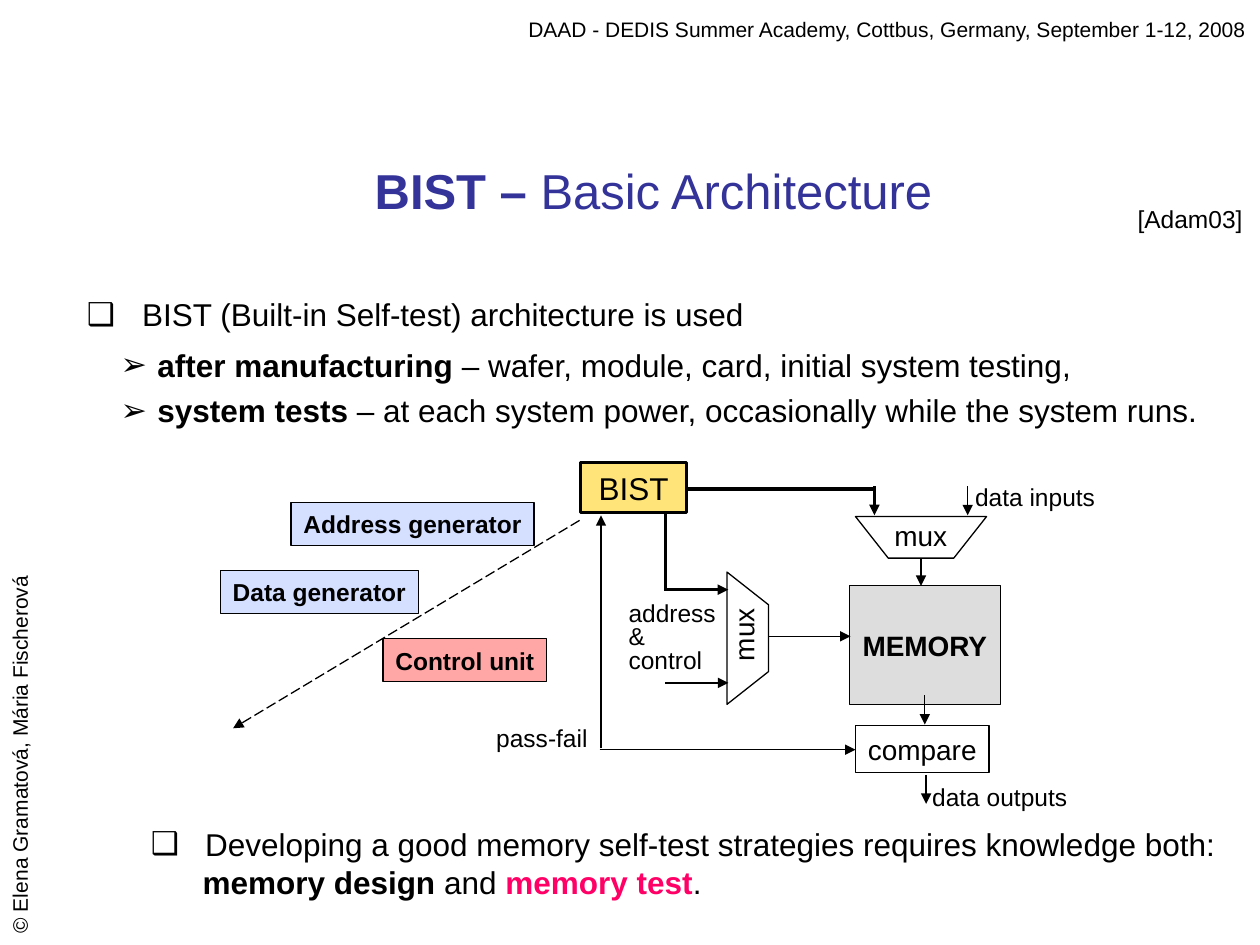
from dataclasses import dataclass
from typing import Optional

from lxml import etree
from pptx import Presentation
from pptx.dml.color import RGBColor
from pptx.enum import dml, shapes, text
from pptx.oxml.ns import qn
from pptx.util import Inches, Pt

BLACK = RGBColor(0, 0, 0)
NAVY = RGBColor(0x33, 0x33, 0x99)
PINK = RGBColor(0xFF, 0x00, 0x66)
YELLOW = RGBColor(0xFF, 0xE5, 0x79)
GREY = RGBColor(0xDD, 0xDD, 0xDD)
BLUE = RGBColor(0xD5, 0xDF, 0xFF)
RED = RGBColor(0xFF, 0xA7, 0xA7)
LEFT, CENTER, RIGHT = text.PP_ALIGN.LEFT, text.PP_ALIGN.CENTER, text.PP_ALIGN.RIGHT
THIN, MEDIUM, THICK = 0.75, 1.5, 2


@dataclass
class Span:
    words: str
    bold: bool = False
    color: RGBColor = BLACK


@dataclass
class Item:
    spans: list[Span]
    bullet: str = ""
    margin: float = 0
    indent: float = 0
    before: float = 0
    spacing: float = 1


@dataclass
class Label:
    words: str
    at: tuple[float, float, float, float]
    size: float = 14
    wrap: bool = False
    rotation: float = 0
    align: int = LEFT
    spacing: float = 1


@dataclass
class Block:
    words: str
    at: tuple[float, float, float, float]
    fill: Optional[RGBColor]
    size: float = 14
    bold: bool = False
    line: float = THIN


@dataclass
class Wire:
    start: tuple[float, float]
    end: tuple[float, float]
    width: float = THIN
    arrow: bool = True
    dashed: bool = False


ITEMS = [
    Item([Span("BIST (Built-in Self-test) architecture is used")], "❑", 0.44, -0.44, 0, 0.9),
    Item([Span("after manufacturing ", True),
          Span("– wafer, module, card, initial system testing,")], "➢", 0.56, -0.29, 6.8),
    Item([Span("system tests", True),
          Span(" – at each system power, occasionally while the system runs.")],
         "➢", 0.56, -0.29, 4.5),
]
CONCLUSION = [
    Item([Span("Developing a good memory self-test strategies requires knowledge both:")],
         "❑", 0.43, -0.43),
    Item([Span("memory design", True), Span(" and "),
          Span("memory test", True, PINK), Span(".")], margin=0.41),
]
BLOCKS = [
    Block("BIST", (4.61, 3.67, 0.84, 0.4), YELLOW, 18, line=MEDIUM),
    Block("MEMORY", (6.74, 4.65, 1.2, 0.94), GREY, 16, True),
    Block("compare", (6.79, 5.76, 1.06, 0.37), None, 16),
    Block("Data generator", (1.75, 4.53, 1.57, 0.34), BLUE, bold=True),
    Block("Address generator", (2.31, 3.99, 1.93, 0.34), BLUE, bold=True),
    Block("Control unit", (3.04, 5.07, 1.3, 0.34), RED, bold=True),
]
MUXES = [
    [(6.79, 4.1), (7.83, 4.1), (7.57, 4.43), (7.05, 4.43)],
    [(5.77, 5.59), (5.77, 4.54), (6.1, 4.8), (6.1, 5.33)],
]
WIRES = [
    Wire((7.68, 3.86), (7.68, 4.09)),
    Wire((7.31, 4.43), (7.31, 4.65)),
    Wire((7.34, 5.52), (7.34, 5.75)),
    Wire((7.35, 6.15), (7.35, 6.38)),
    Wire((5.28, 5.42), (5.78, 5.42)),
    Wire((5.28, 4.08), (5.28, 4.69), THICK, arrow=False),
    Wire((5.28, 4.68), (5.78, 4.68), THICK),
    Wire((4.76, 5.95), (6.79, 5.95)),
    Wire((4.77, 5.94), (4.77, 4.09)),
    Wire((5.46, 3.88), (6.95, 3.88), THICK, arrow=False),
    Wire((6.94, 3.86), (6.94, 4.09), THICK),
    Wire((6.1, 5.05), (6.75, 5.05)),
    Wire((4.6, 4.13), (1.85, 5.78), dashed=True),
]
LABELS = [
    Label("data outputs", (7.3, 6.16, 1.27, 0.34)),
    Label("data inputs", (7.64, 3.78, 1.2, 0.34), wrap=True),
    Label("mux", (7, 4.07, 0.69, 0.37), 16, wrap=True),
    Label("mux", (5.59, 4.85, 0.62, 0.37), 16, rotation=270),
    Label("address\n&\ncontrol", (4.89, 4.74, 1.06, 0.66), wrap=True, spacing=0.8),
    Label("pass-fail", (3.84, 5.69, 0.94, 0.34)),
    Label("[Adam03]", (8.93, 1.57, 1.1, 0.34), wrap=True),
    Label("© Elena Gramatová, Mária Fischerová", (-1.4, 5.8, 3.11, 0.3), 12, True, 270),
    Label("DAAD - DEDIS Summer Academy, Cottbus, Germany, September 1-12, 2008",
          (3.9, 0.08, 6.09, 0.3), 12, True, align=RIGHT),
]


def add_span(para, span: Span, size: float) -> None:
    run = para.add_run()
    run.text = span.words
    for name, value in {"name": "Arial", "size": Pt(size), "bold": span.bold}.items():
        setattr(run.font, name, value)
    run.font.color.rgb = span.color


def add_items(slide, at: tuple, items: list[Item]) -> None:
    frame = slide.shapes.add_textbox(*map(Inches, at)).text_frame
    frame.word_wrap = True
    for index, item in enumerate(items):
        para = frame.add_paragraph() if index else frame.paragraphs[0]
        para.line_spacing = item.spacing
        if index:
            para.space_before = Pt(item.before)
        props = para._p.get_or_add_pPr()
        props.set("marL", str(Inches(item.margin)))
        props.set("indent", str(Inches(item.indent)))
        if item.bullet:
            etree.SubElement(props, qn("a:buFont"), typeface="Arial")
            etree.SubElement(props, qn("a:buChar"), char=item.bullet)
        for span in item.spans:
            add_span(para, span, 18)


def add_label(slide, label: Label) -> None:
    box = slide.shapes.add_textbox(*map(Inches, label.at))
    box.rotation = label.rotation
    frame = box.text_frame
    frame.word_wrap = label.wrap
    for index, words in enumerate(label.words.split("\n")):
        para = frame.add_paragraph() if index else frame.paragraphs[0]
        para.alignment, para.line_spacing = label.align, label.spacing
        add_span(para, Span(words), label.size)


def style_outline(shape, fill: Optional[RGBColor], width: float) -> None:
    shape.shadow.inherit = False
    if fill is None:
        shape.fill.background()
    else:
        shape.fill.solid()
        shape.fill.fore_color.rgb = fill
    shape.line.color.rgb = BLACK
    shape.line.width = Pt(width)


def add_block(slide, block: Block) -> None:
    box = slide.shapes.add_shape(shapes.MSO_SHAPE.RECTANGLE, *map(Inches, block.at))
    style_outline(box, block.fill, block.line)
    box.text_frame.word_wrap = False
    para = box.text_frame.paragraphs[0]
    para.alignment = CENTER
    add_span(para, Span(block.words, block.bold), block.size)


def add_mux(slide, corners: list[tuple[float, float]]) -> None:
    first, *others = [(Inches(x), Inches(y)) for x, y in corners]
    builder = slide.shapes.build_freeform(*first)
    builder.add_line_segments(others, close=True)
    style_outline(builder.convert_to_shape(), None, THIN)


def add_wire(slide, wire: Wire) -> None:
    line = slide.shapes.add_connector(
        shapes.MSO_CONNECTOR.STRAIGHT, *map(Inches, wire.start + wire.end))
    line.line.color.rgb = BLACK
    line.line.width = Pt(wire.width)
    if wire.dashed:
        line.line.dash_style = dml.MSO_LINE.LONG_DASH
    if wire.arrow:
        etree.SubElement(line.line._get_or_add_ln(), qn("a:tailEnd"), type="triangle")
    etree.SubElement(line._element.spPr, qn("a:effectLst"))


def main() -> None:
    deck = Presentation()
    deck.slide_width, deck.slide_height = Inches(10), Inches(7.5)
    slide = deck.slides.add_slide(deck.slide_layouts[5])
    title = slide.shapes.title
    for name, value in zip(("left", "top", "width", "height"), (1.46, 1.07, 7.56, 0.87)):
        setattr(title, name, Inches(value))
    title.text_frame.vertical_anchor = text.MSO_ANCHOR.MIDDLE
    para = title.text_frame.paragraphs[0]
    para.alignment = CENTER
    for span in (Span("BIST – ", True, NAVY), Span("Basic Architecture ", False, NAVY)):
        add_span(para, span, 28)

    add_items(slide, (0.59, 2.33, 9.41, 1.2), ITEMS)
    add_items(slide, (1.1, 6.5, 8.9, 0.7), CONCLUSION)
    for draw, parts in ((add_block, BLOCKS), (add_mux, MUXES),
                        (add_wire, WIRES), (add_label, LABELS)):
        for part in parts:
            draw(slide, part)
    deck.save("out.pptx")


if __name__ == "__main__":
    main()
